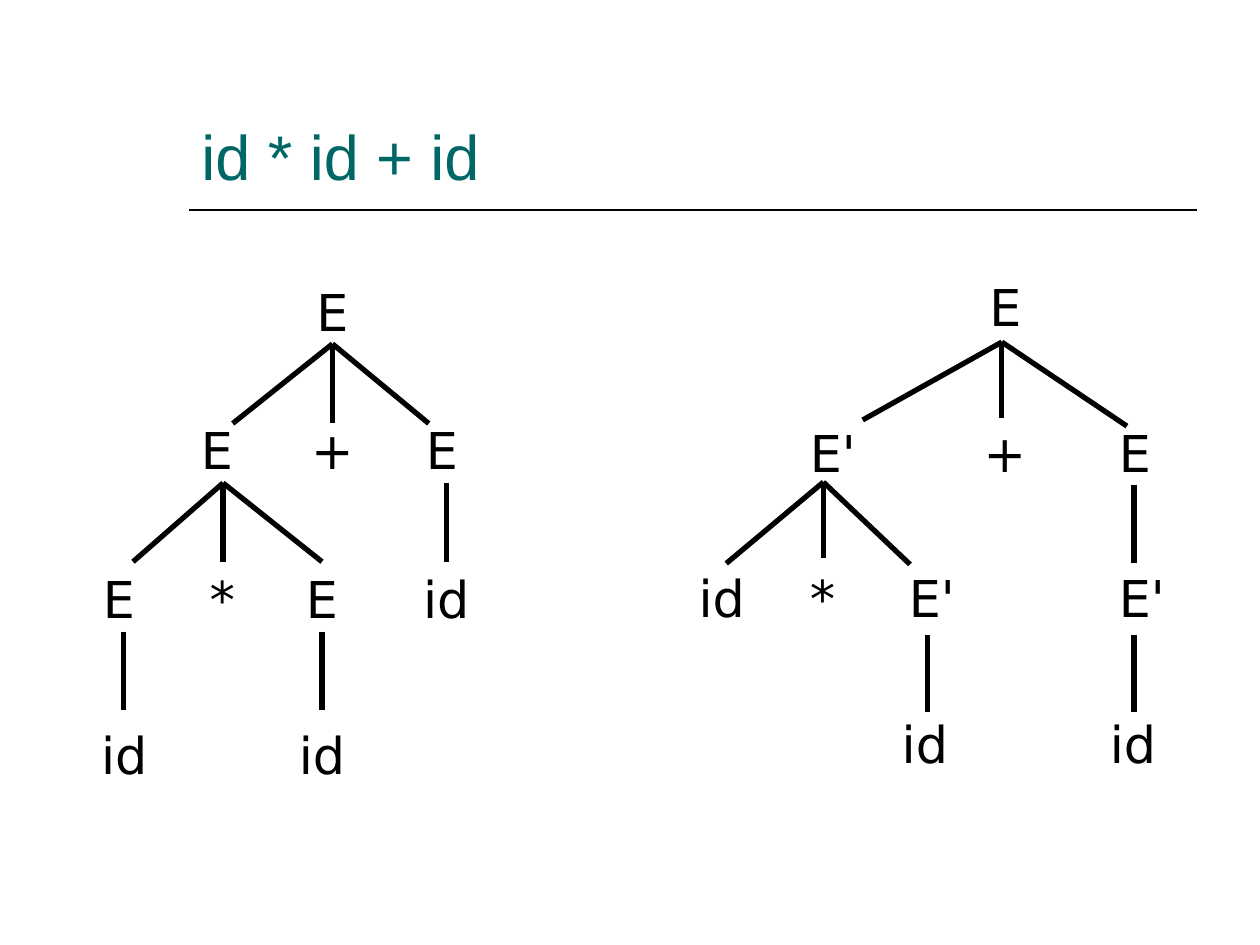
"""Draw two parse trees for the expression id * id + id."""
from lxml.etree import SubElement
from pptx import Presentation
from pptx.dml.color import RGBColor as Rgb
from pptx.enum.shapes import MSO_CONNECTOR as Link
from pptx.enum.text import MSO_ANCHOR as Anchor, PP_ALIGN as Align
from pptx.oxml.ns import qn
from pptx.util import Pt

COLORS = {"title": "006666", "ink": "000000"}
TITLE = "id * id + id"
HIGH = 42.5
TREES = [
    {
        "widths": {"E": 40, "+": 40, "*": 40, "id": 45},
        "rows": [
            (157, [("E", 190)]),
            (236, [("E", 124), ("+", 190), ("E", 252.5)]),
            (321, [("E", 68), ("*", 127), ("E", 184), ("id", 255)]),
            (410, [("id", 71), ("id", 184)]),
        ],
        "fans": [
            ((190, 196.5), [(133, 242), (190, 242), (245, 242)]),
            ((127.5, 276), [(76, 321), (127.5, 321), (184, 321)]),
            ((255, 276), [(255, 321)]),
            ((70.5, 361), [(70.5, 406)]),
            ((184, 361), [(184, 406)]),
        ],
    },
    {
        "widths": {"E": 35, "+": 35, "*": 35, "E'": 53, "id": 56},
        "rows": [
            (154, [("E", 574.5)]),
            (237.5, [("E'", 476), ("+", 572.5), ("E", 648.5)]),
            (320.5, [("id", 412.5), ("*", 470), ("E'", 532.5), ("E'", 652.5)]),
            (404, [("id", 528.5), ("id", 647.5)]),
        ],
        "fans": [
            ((572.5, 195.5), [(493, 240), (572.5, 239), (644, 243.5)]),
            ((470.5, 275.5), [(415, 322), (470.5, 319), (520, 322.5)]),
            ((648, 277), [(648, 322)]),
            ((530, 363), [(530, 407)]),
            ((648, 363), [(648, 407)]),
        ],
    },
]


def add_text(slide, text, box, font, size, color, align, anchor):
    shape = slide.shapes.add_textbox(*map(Pt, box))
    frame = shape.text_frame
    frame.word_wrap = True
    frame.vertical_anchor = anchor
    para = frame.paragraphs[0]
    para.text = text
    para.alignment = align
    para.font.name = font
    para.font.size = Pt(size)
    para.font.color.rgb = Rgb.from_string(COLORS[color])


def add_line(slide, start, end, width):
    line = slide.shapes.add_connector(Link.STRAIGHT, *map(Pt, start + end))
    line.line.width = Pt(width)
    line.line.color.rgb = Rgb.from_string(COLORS["ink"])
    SubElement(line.element.spPr, qn("a:effectLst"))


def add_tree(slide, tree):
    for top, nodes in tree["rows"]:
        for word, mid in nodes:
            wide = tree["widths"][word]
            box = (mid - wide / 2, top, wide, HIGH)
            add_text(slide, word, box, "DejaVu Sans", 29, "ink", Align.CENTER, Anchor.TOP)
    for start, ends in tree["fans"]:
        for end in ends:
            add_line(slide, start, end, 3)


def main():
    deck = Presentation()
    deck.slide_width, deck.slide_height = Pt(720), Pt(540)
    slide = deck.slides.add_slide(deck.slide_layouts[6])
    add_line(slide, (108, 120), (684, 120), 1)
    add_text(slide, TITLE, (108, 24, 576, 90), "Arial", 36, "title", Align.LEFT, Anchor.BOTTOM)
    for tree in TREES:
        add_tree(slide, tree)
    deck.save("out.pptx")


if __name__ == "__main__":
    main()
